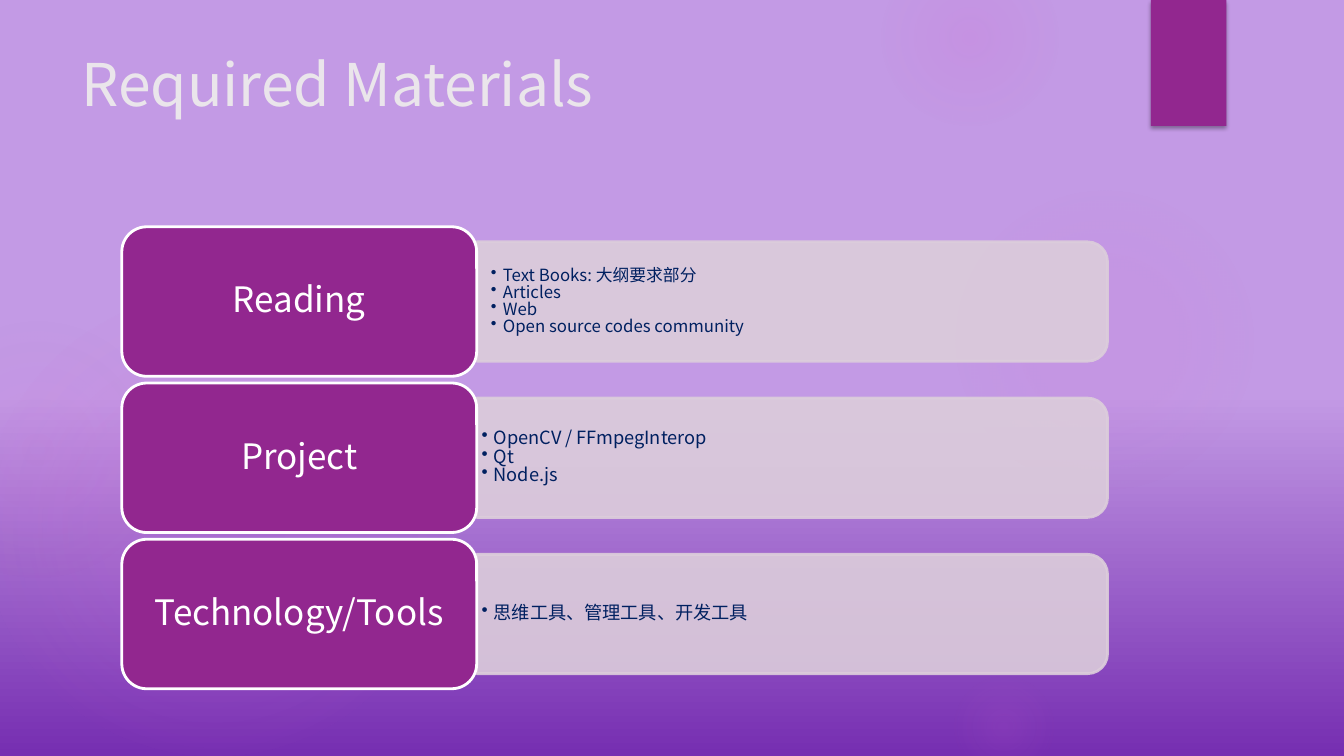
from dataclasses import dataclass

from lxml.etree import SubElement
from pptx import Presentation
from pptx.dml.color import RGBColor
from pptx.enum.shapes import MSO_SHAPE
from pptx.enum.text import MSO_ANCHOR, PP_ALIGN
from pptx.oxml.ns import qn
from pptx.util import Inches, Pt


@dataclass(frozen=True)
class Theme:
    font: str = "Noto Sans CJK SC"
    accent: str = "92278F"
    panel: str = "DCCDDB"
    title: str = "EAE5EB"
    body: str = "002060"
    white: str = "FFFFFF"
    sky: tuple = ((0, "762EB1", 100), (48, "C39AE5", 100), (100, "C39AE5", 100))
    glow: str = "D665D3"
    glow_edge: str = "BA69B8"
    title_size: int = 42
    label_size: int = 25


THEME = Theme()

# Slide grid: 160 columns by 90 rows, each cell a twelfth of an inch
COLUMNS, ROWS = 160, 90
CELL = Inches(1 / 12)

# Material rows, in grid cells
LABEL_LEFT, LABEL_TOP, LABEL_WIDTH, LABEL_HEIGHT = 14.5, 27, 42.25, 17.8
ROW_PITCH = 18.6
PANEL_LEFT = LABEL_LEFT + LABEL_WIDTH
PANEL_WIDTH, PANEL_HEIGHT = 75.1, 14.2
TEXT_WIDTH, TEXT_HEIGHT = 74.4, 12.8

# Glows: left, top, diameter, then (position, opacity) stops and outer colour
GLOWS = [
    (-2, 35, 55, ((0, 11), (36, 10), (75, 0)), THEME.glow),
    (-11, 38, 31, ((0, 8), (36, 5), (71, 0)), THEME.glow_edge),
    (113, 22, 37, ((0, 7), (36, 6), (69, 0)), THEME.glow),
    (105, -6, 21, ((0, 14), (36, 7), (73, 0)), THEME.glow),
    (113, 80, 13, ((0, 10), (31, 5), (66, 0)), THEME.glow),
]

# Materials: label, items, type size, inset in inches
MATERIALS = [
    ("Reading", ["Text Books: 大纲要求部分", "Articles", "Web",
                 "Open source codes community"], 12, 0.14),
    ("Project", ["OpenCV / FFmpegInterop", "Qt", "Node.js"], 13, 0.05),
    ("Technology/Tools", ["思维工具、管理工具、开发工具"], 13, 0.05),
]


def cells(*lengths):
    return [round(length * CELL) for length in lengths]


def add_color(parent, color, opacity):
    node = SubElement(parent, qn("a:srgbClr"), val=color)
    SubElement(node, qn("a:alpha"), val=str(opacity * 1000))


def set_gradient(holder, stops, angle=None):
    """Swap the holder's solid fill for a linear or a circular gradient."""
    solid = holder.find(qn("a:solidFill"))
    gradient = SubElement(holder, qn("a:gradFill"), rotWithShape="1")
    holder.replace(solid, gradient)
    stop_list = SubElement(gradient, qn("a:gsLst"))
    for position, color, opacity in stops:
        stop = SubElement(stop_list, qn("a:gs"), pos=str(position * 1000))
        add_color(stop, color, opacity)
    if angle is not None:
        SubElement(gradient, qn("a:lin"), ang=str(angle * 60000), scaled="0")
    else:
        circle = SubElement(gradient, qn("a:path"), path="circle")
        SubElement(circle, qn("a:fillToRect"), l="50000", t="50000", r="50000", b="50000")


def add_block(page, kind, area, color, line=None):
    block = page.shapes.add_shape(kind, *cells(*area))
    block.shadow.inherit = False
    block.fill.solid()
    block.fill.fore_color.rgb = RGBColor.from_string(color)
    if line:
        block.line.color.rgb = RGBColor.from_string(line)
        block.line.width = Pt(2)
    else:
        block.line.fill.background()
    return block


def set_opacity(block, percent):
    for color in block.element.spPr.iter(qn("a:srgbClr")):
        SubElement(color, qn("a:alpha"), val=str(percent * 1000))


def add_glow(page, left, top, diameter, stops, edge):
    glow = add_block(page, MSO_SHAPE.OVAL, (left, top, diameter, diameter), THEME.glow)
    colors = (THEME.glow, THEME.glow, edge)
    set_gradient(glow.element.spPr,
                 [(position, color, opacity)
                  for (position, opacity), color in zip(stops, colors)])


def add_tab(page):
    tab = add_block(page, MSO_SHAPE.RECTANGLE, (137, 0, 9, 15), THEME.accent)
    effects = tab.element.spPr.find(qn("a:effectLst"))
    shadow = SubElement(effects, qn("a:outerShdw"), blurRad=str(Pt(3.1)),
                        dist=str(Pt(1.8)), dir=str(90 * 60000), rotWithShape="0")
    add_color(shadow, "000000", 35)


def write(box, lines, size, color, spacing=0.9, align=PP_ALIGN.LEFT,
          anchor=MSO_ANCHOR.MIDDLE, inset=0.1):
    frame = box.text_frame
    frame.word_wrap = True
    frame.vertical_anchor = anchor
    frame.margin_left = frame.margin_right = Inches(inset)
    frame.margin_top = frame.margin_bottom = Inches(inset / 2)
    frame.text = "\n".join(lines)
    for para in frame.paragraphs:
        para.alignment = align
        para.line_spacing = spacing
        for span in para.runs:
            span.font.size = Pt(size)
            span.font.name = THEME.font
            span.font.color.rgb = RGBColor.from_string(color)
            SubElement(span.font._element, qn("a:ea"), typeface=THEME.font)


def add_bullets(box):
    for para in box.text_frame.paragraphs:
        properties = para._p.get_or_add_pPr()
        properties.set("marL", str(Inches(0.12)))
        properties.set("indent", str(Inches(-0.12)))
        SubElement(properties, qn("a:buChar"), char="•")


def add_title(page, text):
    box = page.shapes.add_textbox(*cells(8.5, 6, 123.5, 18.4))
    write(box, [text], THEME.title_size, THEME.title, anchor=MSO_ANCHOR.TOP)


def add_material(page, index, label, items, size, inset):
    top = LABEL_TOP + index * ROW_PITCH
    middle = top + LABEL_HEIGHT / 2

    # Panel: an upright shape turned so that its round corners face right
    panel_area = (PANEL_LEFT + (PANEL_WIDTH - PANEL_HEIGHT) / 2,
                  middle - PANEL_WIDTH / 2, PANEL_HEIGHT, PANEL_WIDTH)
    panel = add_block(page, MSO_SHAPE.ROUND_2_SAME_RECTANGLE, panel_area,
                      THEME.panel, THEME.panel)
    panel.rotation = 90
    set_opacity(panel, 90)

    # Bulleted items
    box = page.shapes.add_textbox(
        *cells(PANEL_LEFT, middle - TEXT_HEIGHT / 2, TEXT_WIDTH, TEXT_HEIGHT))
    write(box, items, size, THEME.body, spacing=0.84, inset=inset)
    add_bullets(box)

    # Label
    card = add_block(page, MSO_SHAPE.ROUNDED_RECTANGLE,
                     (LABEL_LEFT, top, LABEL_WIDTH, LABEL_HEIGHT),
                     THEME.accent, THEME.white)
    write(card, [label], THEME.label_size, THEME.white, align=PP_ALIGN.CENTER)


def main():
    deck = Presentation()
    deck.slide_width, deck.slide_height = cells(COLUMNS, ROWS)
    page = deck.slides.add_slide(deck.slide_layouts[6])

    # Backdrop
    page.background.fill.solid()
    set_gradient(page.element.find(".//" + qn("p:bgPr")), THEME.sky, angle=270)
    for glow in GLOWS:
        add_glow(page, *glow)
    add_tab(page)

    # Content
    add_title(page, "Required Materials")
    for index, material in enumerate(MATERIALS):
        add_material(page, index, *material)

    deck.save("out.pptx")


if __name__ == "__main__":
    main()
